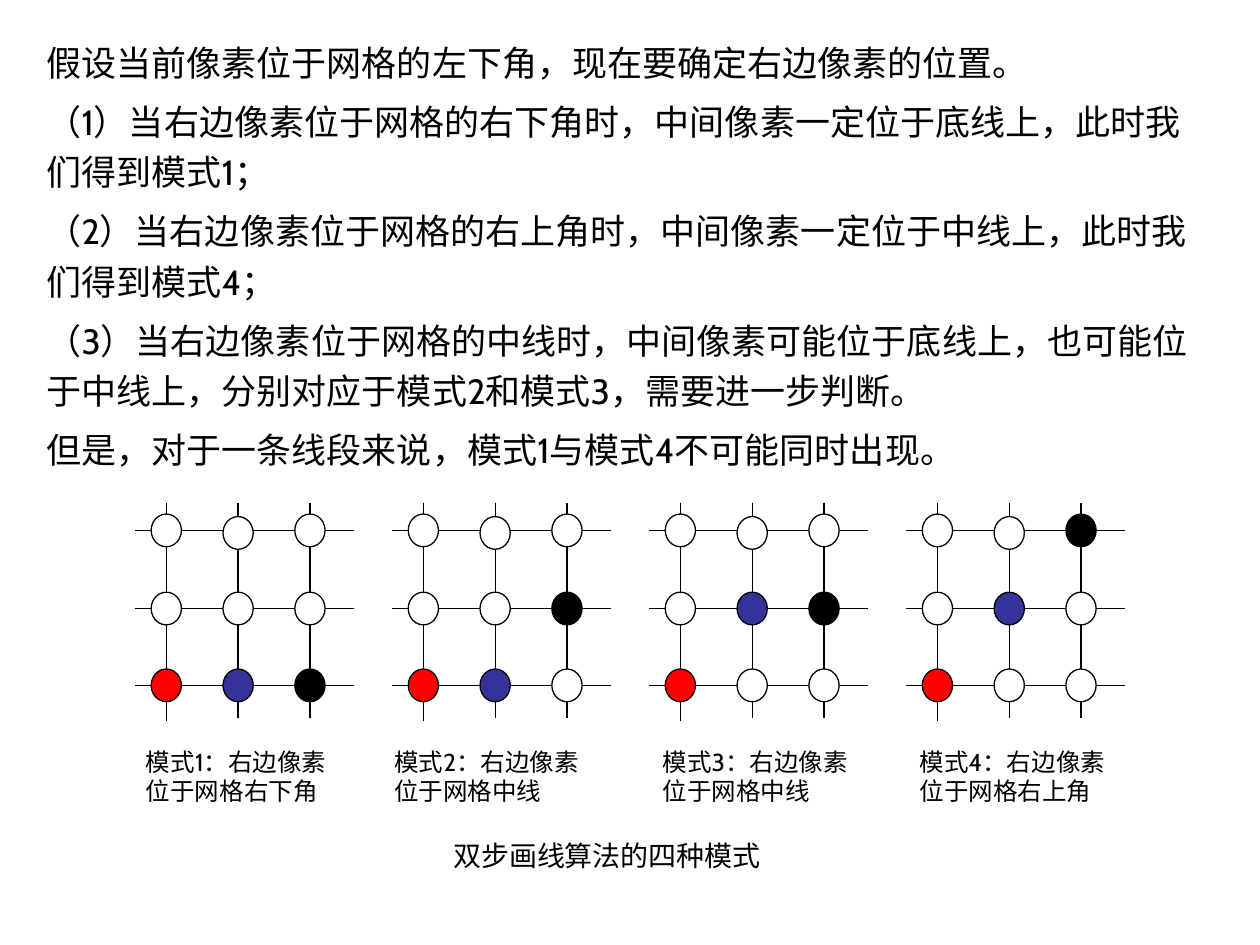
from pptx import Presentation
from pptx.dml.color import RGBColor
from pptx.enum.shapes import MSO_CONNECTOR as Link, MSO_SHAPE as Kind
from pptx.enum.text import MSO_AUTO_SIZE as Fit
from pptx.oxml.ns import qn
from pptx.util import Inches, Pt
from lxml.etree import SubElement

BODY = [
    "假设当前像素位于网格的左下角，现在要确定右边像素的位置。",
    "（1）当右边像素位于网格的右下角时，中间像素一定位于底线上，此时我们得到模式1；",
    "（2）当右边像素位于网格的右上角时，中间像素一定位于中线上，此时我们得到模式4；",
    "（3）当右边像素位于网格的中线时，中间像素可能位于底线上，也可能位于中线上，分别对应于模式2和模式3，需要进一步判断。",
    "但是，对于一条线段来说，模式1与模式4不可能同时出现。",
]
MODES = [
    ("模式1：右边像素位于网格右下角", 1.06, 0.8, (2, 2, 2)),
    ("模式2：右边像素位于网格中线", 3.03, 0.57, (2, 2, 1)),
    ("模式3：右边像素位于网格中线", 5.16, 0.57, (2, 1, 1)),
    ("模式4：右边像素位于网格右上角", 7.2, 0.8, (2, 1, 0)),
]
TITLE = "双步画线算法的四种模式"
BLACK, WHITE = "000000", "FFFFFF"
FILLS = ("FF0000", "333399", BLACK)
ROWS = (4.21, 4.83, 5.44)
LEFT, STEP, SPAN = 1.07, 2.04, 1.74
EDGE, GAP = 0.25, 0.57
TOP = 3.99
WIDE, HIGH = 0.24, 0.26


def color(code):
    return RGBColor.from_string(code)


def write(shapes, lines, left, top, width, height, size, space=0, pitch=None):
    box = shapes.add_textbox(Inches(left), Inches(top), Inches(width), Inches(height))
    frame = box.text_frame
    frame.word_wrap = True
    frame.auto_size = Fit.SHAPE_TO_FIT_TEXT
    frame.text = "\n".join(lines)
    for i, para in enumerate(frame.paragraphs):
        para.space_before = Pt(space if i else 0)
        para.line_spacing = pitch
        for run in para.runs:
            run.font.name = "Cabin"
            run.font.size = Pt(size)
            run.font.color.rgb = color(BLACK)


def stroke(item):
    item.line.color.rgb = color(BLACK)
    item.line.width = Pt(0.75)


def rule(shapes, x1, y1, x2, y2):
    line = shapes.add_connector(Link.STRAIGHT, Inches(x1), Inches(y1), Inches(x2), Inches(y2))
    stroke(line)
    SubElement(line._element.spPr, qn("a:effectLst"))


def pixel(shapes, x, y, fill):
    dot = shapes.add_shape(Kind.OVAL, Inches(x - WIDE / 2), Inches(y - HIGH / 2),
                           Inches(WIDE), Inches(HIGH))
    dot.shadow.inherit = False
    dot.fill.solid()
    dot.fill.fore_color.rgb = color(fill)
    stroke(dot)


def grid(shapes, left, marks):
    cols = [left + EDGE + GAP * i for i in range(3)]
    for y in ROWS:
        rule(shapes, left, y, left + SPAN, y)
    for i, x in enumerate(cols):
        rule(shapes, x, TOP, x, 5.7 if i else 5.72)
    for i, x in enumerate(cols):
        for j, y in enumerate(ROWS):
            drop = 0.02 if (i, j) == (1, 0) else 0
            pixel(shapes, x, y + drop, FILLS[i] if marks[i] == j else WHITE)


def main():
    deck = Presentation()
    deck.slide_width, deck.slide_height = Inches(10), Inches(7.5)
    slide = deck.slides.add_slide(deck.slide_layouts[6])
    write(slide.shapes, BODY, 0.27, 0.21, 9.45, 3.58, 20, 5, 1.2)
    group = slide.shapes.add_group_shape().shapes
    for i, (label, left, height, marks) in enumerate(MODES):
        grid(group, LEFT + STEP * i, marks)
        write(group, [label], left, 5.88, 1.73, height, 14)
    write(group, [TITLE], 3.5, 6.61, 2.84, 0.37, 16)
    deck.save("out.pptx")


if __name__ == "__main__":
    main()
